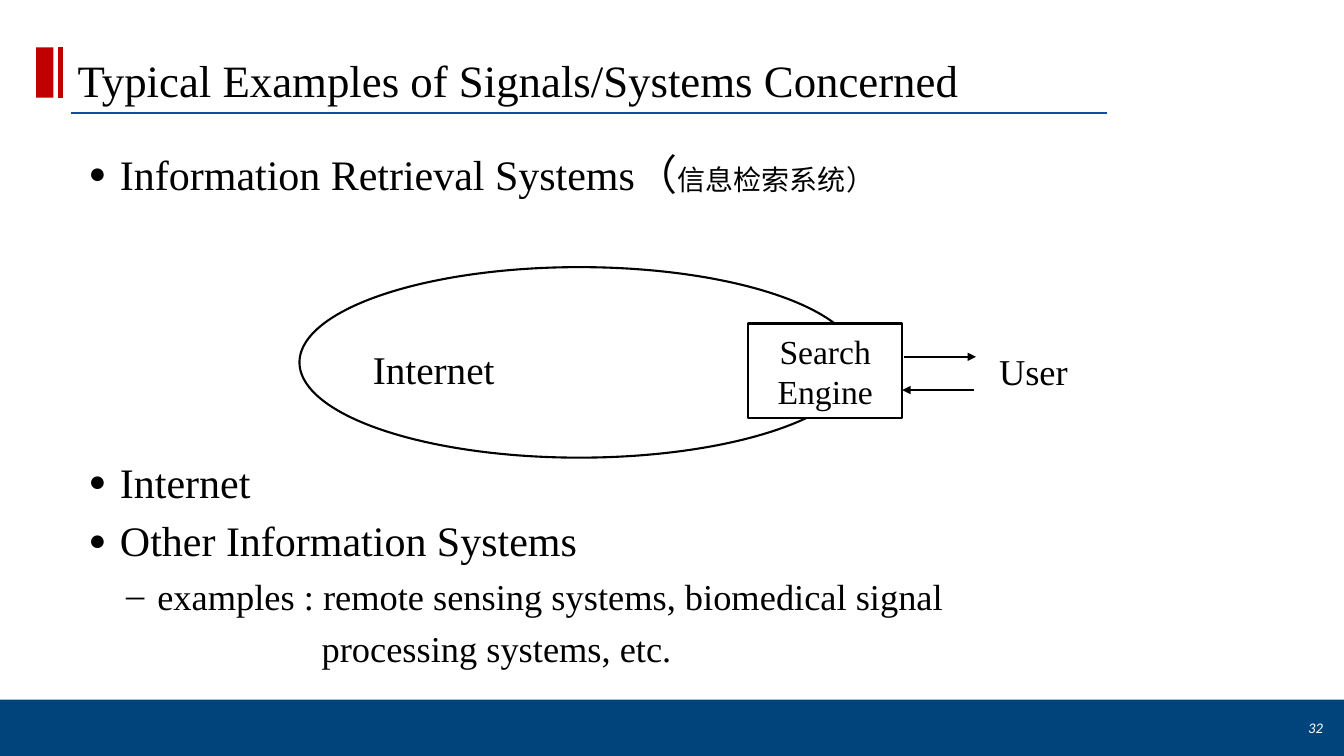
from dataclasses import dataclass

from lxml.etree import SubElement
from pptx import Presentation
from pptx.dml.color import RGBColor
from pptx.enum.shapes import MSO_CONNECTOR, MSO_SHAPE
from pptx.enum.text import MSO_ANCHOR, MSO_AUTO_SIZE, PP_ALIGN
from pptx.oxml.ns import qn
from pptx.util import Inches, Pt


@dataclass(frozen=True)
class Theme:
    black: RGBColor = RGBColor(0, 0, 0)
    white: RGBColor = RGBColor(255, 255, 255)
    footer: RGBColor = RGBColor(0x00, 0x44, 0x7C)
    rule: RGBColor = RGBColor(0x0B, 0x4D, 0xA2)
    accent: RGBColor = RGBColor(0xC0, 0, 0)
    serif: str = "Times New Roman"
    sans: str = "Calibri"
    title: float = 32
    topic: float = 30
    label: float = 28
    detail: float = 26
    engine: float = 24
    chinese: float = 20
    number: float = 10.5
    stroke: float = 1.5


THEME = Theme()


@dataclass(frozen=True)
class Panel:
    kind: MSO_SHAPE
    area: tuple[float, float, float, float]
    fill: RGBColor | None
    line: RGBColor | None = None
    text: str = ""


@dataclass(frozen=True)
class Line:
    start: tuple[float, float]
    end: tuple[float, float]
    color: RGBColor = THEME.black
    width: float = THEME.stroke
    arrow: bool = False


@dataclass(frozen=True)
class Label:
    text: str
    area: tuple[float, float, float, float]
    size: float
    font: str = THEME.serif
    color: RGBColor = THEME.black
    align: PP_ALIGN = PP_ALIGN.LEFT
    anchor: MSO_ANCHOR = MSO_ANCHOR.MIDDLE
    italic: bool = False


@dataclass(frozen=True)
class Item:
    spans: tuple[str, ...]
    size: float
    margin: float
    before: float
    bullet: str = ""
    bullet_percent: int = 100
    level: int = 0


PANELS = (
    Panel(MSO_SHAPE.RECTANGLE, (0, 6.94, 13.33, 0.56), THEME.footer),
    Panel(MSO_SHAPE.RECTANGLE, (0.36, 0.47, 0.17, 0.5), THEME.accent),
    Panel(MSO_SHAPE.OVAL, (2.97, 2.65, 5.55, 1.89), None, THEME.black),
    Panel(MSO_SHAPE.RECTANGLE, (7.42, 3.21, 1.53, 0.94), THEME.white, THEME.black, "Search Engine"),
)
LINES = (
    Line((0.7, 1.12), (10.98, 1.12), THEME.rule),
    Line((0.6, 0.47), (0.6, 0.97), THEME.accent, 3),
    Line((8.97, 3.54), (9.68, 3.54), arrow=True),
    Line((9.66, 3.87), (8.95, 3.87), arrow=True),
)
LABELS = (
    Label("Internet", (3.6, 3.37, 1.57, 0.57), THEME.label),
    Label("User", (9.81, 3.41, 1.11, 0.54), THEME.detail, anchor=MSO_ANCHOR.TOP),
    Label("32", (11.79, 7.02, 1.43, 0.4), THEME.number, THEME.sans, THEME.white,
          PP_ALIGN.RIGHT, italic=True),
)
ITEMS = (
    Item(("Information Retrieval Systems（", "信息检索系统", "）"), THEME.topic, 0.81, 0, "●", 70),
    Item(("Internet",), THEME.topic, 0.81, 184, "●", 70),
    Item(("Other Information Systems",), THEME.topic, 0.81, 6, "●", 70),
    Item(("examples : remote sensing systems, biomedical signal",), THEME.detail, 1.18, 6, "–", level=1),
    Item(("processing systems, etc.",), THEME.detail, 2.81, 6, level=1),
)


def place(box, area: tuple[float, float, float, float]) -> None:
    box.left, box.top, box.width, box.height = map(Inches, area)


def style(para, size: float, font: str = THEME.serif, color: RGBColor = THEME.black) -> None:
    para.font.size = Pt(size)
    para.font.name = font
    para.font.color.rgb = color


def add_panel(page, panel: Panel) -> None:
    box = page.shapes.add_shape(panel.kind, *map(Inches, panel.area))
    box.shadow.inherit = False
    if panel.fill is None:
        box.fill.background()
    else:
        box.fill.solid()
        box.fill.fore_color.rgb = panel.fill
    if panel.line is None:
        box.line.fill.background()
    else:
        box.line.color.rgb = panel.line
        box.line.width = Pt(THEME.stroke)
    if panel.text:
        box.text_frame.text = panel.text
        box.text_frame.word_wrap = True
        para = box.text_frame.paragraphs[0]
        para.alignment = PP_ALIGN.CENTER
        style(para, THEME.engine)


def add_line(page, line: Line) -> None:
    connector = page.shapes.add_connector(
        MSO_CONNECTOR.STRAIGHT, *map(Inches, line.start + line.end))
    connector.line.color.rgb = line.color
    connector.line.width = Pt(line.width)
    if line.arrow:
        SubElement(connector.line._get_or_add_ln(), qn("a:tailEnd"), type="triangle")
    SubElement(connector._element.spPr, qn("a:effectLst"))


def add_label(page, label: Label) -> None:
    box = page.shapes.add_textbox(*map(Inches, label.area))
    frame = box.text_frame
    frame.text = label.text
    frame.word_wrap = True
    frame.vertical_anchor = label.anchor
    para = frame.paragraphs[0]
    para.alignment = label.align
    style(para, label.size, label.font, label.color)
    para.font.italic = label.italic


def fill_title(box) -> None:
    place(box, (0.28, 0.25, 10.7, 0.86))
    frame = box.text_frame
    frame.text = "Typical Examples of Signals/Systems Concerned"
    frame.auto_size = MSO_AUTO_SIZE.NONE
    frame.vertical_anchor = MSO_ANCHOR.BOTTOM
    para = frame.paragraphs[0]
    para.alignment = PP_ALIGN.LEFT
    para._p.get_or_add_pPr().set("marL", str(Inches(0.39)))
    style(para, THEME.title)


def write_item(para, item: Item) -> None:
    para.level = item.level
    para.space_before = Pt(item.before)
    properties = para._p.get_or_add_pPr()
    properties.set("marL", str(Inches(item.margin)))
    properties.set("indent", str(Inches(-0.31 if item.bullet else 0)))
    if item.bullet:
        SubElement(properties, qn("a:buSzPct"), val=str(item.bullet_percent * 1000))
        SubElement(properties, qn("a:buFont"), typeface=THEME.serif)
        SubElement(properties, qn("a:buChar"), char=item.bullet)
    else:
        SubElement(properties, qn("a:buNone"))
    style(para, item.size)
    for position, text in enumerate(item.spans):
        span = para.add_run()
        span.text = text
        if position > 0:
            span.font.size = Pt(THEME.chinese)
        if position == 1:
            span.font.name = THEME.sans


def fill_body(box) -> None:
    place(box, (0.28, 1.42, 9.23, 5.33))
    frame = box.text_frame
    frame.auto_size = MSO_AUTO_SIZE.NONE
    for position, item in enumerate(ITEMS):
        write_item(frame.add_paragraph() if position else frame.paragraphs[0], item)


def main() -> None:
    deck = Presentation()
    deck.slide_width, deck.slide_height = Inches(13.33), Inches(7.5)
    page = deck.slides.add_slide(deck.slide_layouts[1])
    fill_title(page.shapes.title)
    fill_body(page.placeholders[1])
    for draw, elements in ((add_panel, PANELS), (add_line, LINES), (add_label, LABELS)):
        for element in elements:
            draw(page, element)
    deck.save("out.pptx")


if __name__ == "__main__":
    main()
